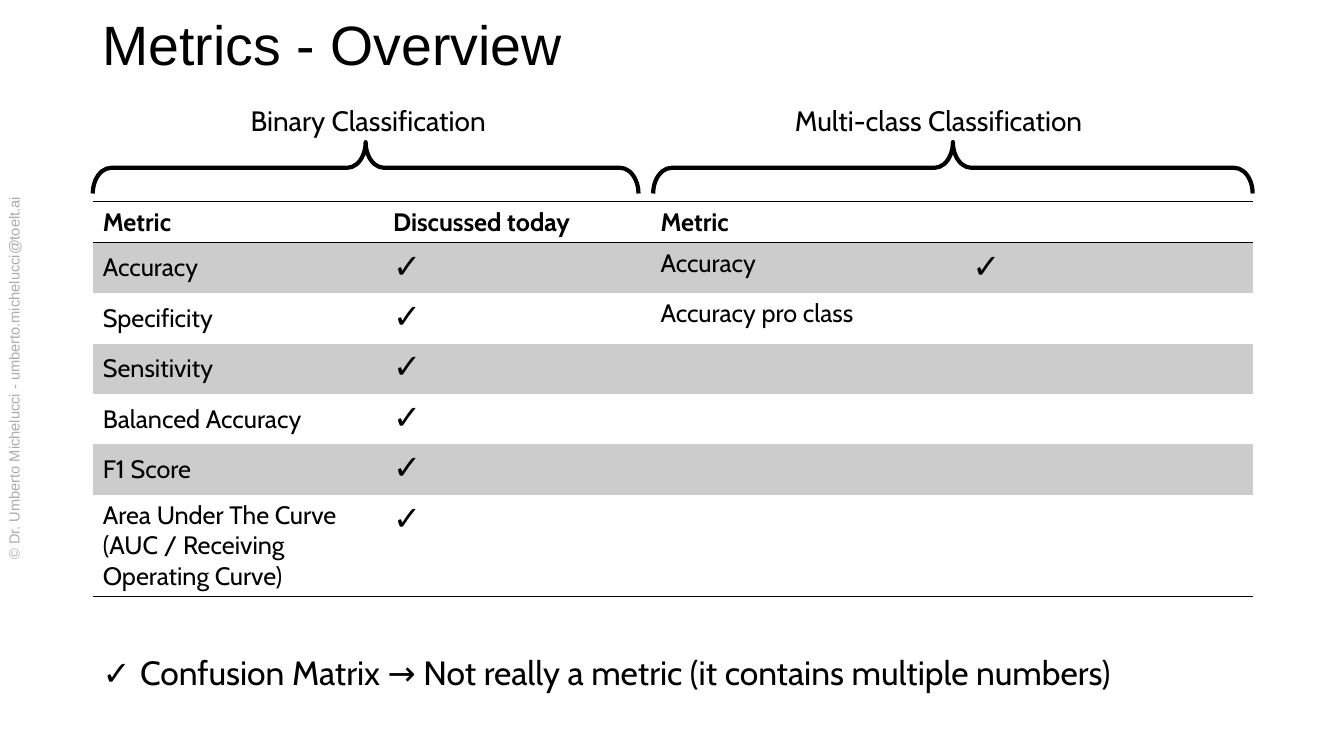
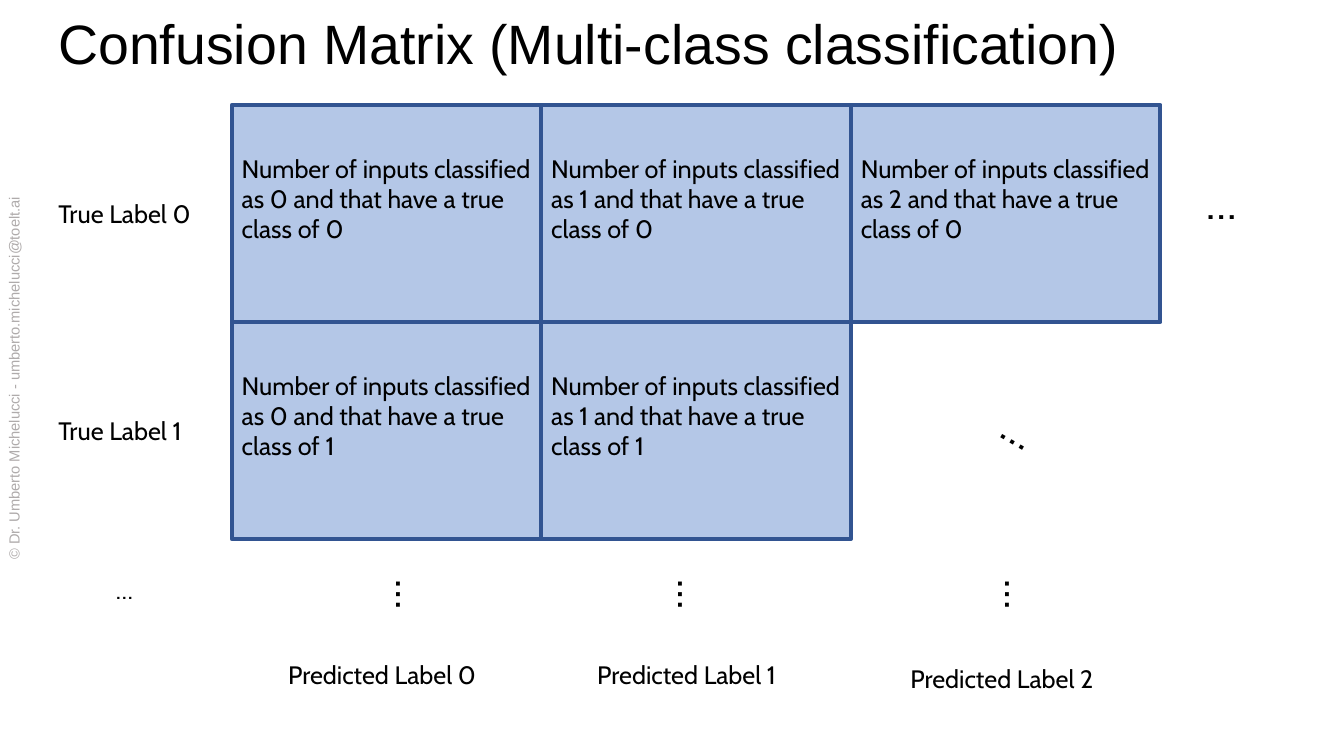
from lxml.etree import SubElement
from pptx import Presentation
from pptx.dml.color import RGBColor
from pptx.enum.shapes import MSO_SHAPE
from pptx.enum.text import MSO_ANCHOR, PP_ALIGN
from pptx.oxml import parse_xml
from pptx.oxml.ns import nsdecls, qn
from pptx.util import Inches, Pt

BLACK = RGBColor(0x00, 0x00, 0x00)
BAND = RGBColor(0xCC, 0xCC, 0xCC)
PALE = RGBColor(0xB4, 0xC7, 0xE7)
NAVY = RGBColor(0x32, 0x54, 0x91)
GREY = RGBColor(0xAF, 0xAB, 0xAB)
SANS, BODY = "Arial", "Cabin"
NO_STYLE = "{2D5ABB26-0587-4C30-8999-92F81FD0307C}"
CREDIT = "© Dr. Umberto Michelucci - umberto.michelucci@toelt.ai"
TICK = "✓"


class Deck:
    """Style and current slide; lengths are on a grid of 100 columns and 100 rows."""

    def __init__(self):
        self.show = Presentation()
        self.show.slide_width, self.show.slide_height = Inches(13.33), Inches(7.5)
        self.col = self.show.slide_width / 100
        self.row = self.show.slide_height / 100

    def page(self, title, x, y, w, h):
        self.slide = self.show.slides.add_slide(self.show.slide_layouts[6])
        para = self.text(title, x, y, w, h, 39.6, SANS, anchor=MSO_ANCHOR.MIDDLE)
        para.line_spacing = 0.9
        self.text(CREDIT, 0, 21.2, 2.1, 57.7, 10.5, SANS, GREY, PP_ALIGN.CENTER, turn=270)

    def frame(self, x, y, w, h, turn=0):
        """Turn a box as seen on the slide into the box before its rotation."""
        left, top, wide, high = x * self.col, y * self.row, w * self.col, h * self.row
        if turn % 180 == 90:
            left, top = left + (wide - high) / 2, top + (high - wide) / 2
            wide, high = high, wide
        return [round(side) for side in (left, top, wide, high)]

    def style(self, run, size, face, ink=BLACK, bold=False):
        font = run.font
        font.size, font.name, font.bold = Pt(size), face, bold
        font.color.rgb = ink

    def text(self, words, x, y, w, h, size=18, face=BODY, ink=BLACK,
             align=PP_ALIGN.LEFT, anchor=MSO_ANCHOR.TOP, turn=0):
        box = self.slide.shapes.add_textbox(*self.frame(x, y, w, h, turn))
        box.rotation = turn
        body = box.text_frame
        body.word_wrap, body.vertical_anchor = True, anchor
        body.text = words
        para = body.paragraphs[0]
        para.alignment = align
        self.style(para.runs[0], size, face, ink)
        return para

    def shape(self, kind, x, y, w, h, line, fill=None, turn=0):
        item = self.slide.shapes.add_shape(kind, *self.frame(x, y, w, h, turn))
        item.rotation = turn
        item.shadow.inherit = False
        item.line.color.rgb, item.line.width = line, Pt(3)
        if fill is None:
            item.fill.background()
        else:
            item.fill.solid()
            item.fill.fore_color.rgb = fill
        return item

    def brace(self, x, y, w, h):
        item = self.shape(MSO_SHAPE.LEFT_BRACE, x, y, w, h, BLACK, turn=90)
        item.adjustments[0] = 0.358

    def tile(self, words, x, y, w, h):
        body = self.shape(MSO_SHAPE.RECTANGLE, x, y, w, h, NAVY, PALE).text_frame
        body.word_wrap, body.vertical_anchor = True, MSO_ANCHOR.MIDDLE
        body.margin_bottom = Inches(0.35)
        body.text = words
        para = body.paragraphs[0]
        para.alignment = PP_ALIGN.LEFT
        self.style(para.runs[0], 18, BODY)

    def rule(self, cell, *sides):
        """Draw thin lines on cell sides, named in schema order."""
        props = cell._tc.get_or_add_tcPr()
        for spot, side in enumerate(sides):
            line = parse_xml(f'<a:{side} {nsdecls("a")} w="12700"/>')
            fill = SubElement(line, qn("a:solidFill"))
            SubElement(fill, qn("a:srgbClr"), val=str(BLACK))
            props.insert(spot, line)

    def table(self, rows, x, y, cols, highs):
        box = self.frame(x, y, sum(cols), sum(highs))
        grid = self.slide.shapes.add_table(len(rows), len(cols), *box).table
        grid.first_row = grid.horz_banding = False
        grid._tbl.tblPr.find(qn("a:tableStyleId")).text = NO_STYLE
        for col, wide in zip(grid.columns, cols):
            col.width = round(wide * self.col)
        for r, (row, high) in enumerate(zip(rows, highs)):
            grid.rows[r].height = round(high * self.row)
            for c, words in enumerate(row):
                self.cell(grid.cell(r, c), words, r, c)
                if r == 0:
                    self.rule(grid.cell(r, c), "lnT", "lnB")
                elif r == len(rows) - 1:
                    self.rule(grid.cell(r, c), "lnB")

    def cell(self, cell, words, r, c):
        if r % 2:
            cell.fill.solid()
            cell.fill.fore_color.rgb = BAND
        else:
            cell.fill.background()
        if r and c == 0:
            cell.vertical_anchor = MSO_ANCHOR.MIDDLE
        if words:
            cell.text_frame.text = words
            size, face = (24, SANS) if words == TICK else (18, BODY)
            self.style(cell.text_frame.paragraphs[0].runs[0], size, face, bold=r == 0)


def metrics(deck):
    deck.page("Metrics - Overview", 6.9, 1.7, 86.3, 9.3)

    # Table of metrics
    rows = [
        ("Metric", "Discussed today", "Metric", ""),
        ("Accuracy", TICK, "Accuracy", TICK),
        ("Specificity", TICK, "Accuracy pro class", ""),
        ("Sensitivity", TICK, "", ""),
        ("Balanced Accuracy", TICK, "", ""),
        ("F1 Score", TICK, "", ""),
        ("Area Under The Curve (AUC / Receiving Operating Curve)", TICK, "", ""),
    ]
    deck.table(rows, 6.9, 26.7, (21.6, 19.9, 23.2, 21.6), [5.4] + [6.3] * 5 + [13.5])

    # Headings with braces
    for words, x, left, wide in (("Binary Classification", 17.9, 6.9, 40.6),
                                 ("Multi-class Classification", 58.4, 48.6, 44.6)):
        deck.text(words, x, 13.1, 26.2, 5.9, 20)
        deck.brace(left, 18.8, wide, 6.8)

    # Closing remark
    para = deck.text(TICK + " ", 6.9, 85.6, 87.7, 6.7, 24, SANS)
    run = para.add_run()
    run.text = "Confusion Matrix → Not really a metric (it contains multiple numbers)"
    deck.style(run, 24, BODY)


def matrix(deck):
    deck.page("Confusion Matrix (Multi-class classification)", 3.6, 1.1, 95.6, 10)

    # Tiles and row labels
    left, top, wide, high = 17.25, 13.9, 23.03, 28.7
    for true, count in enumerate((3, 2)):
        y = top + true * high
        deck.text(f"True Label {true}", 3.6, y + 11.7, 13, 5.3)
        for guess in range(count):
            deck.tile(f"Number of inputs classified as {guess} and that have "
                      f"a true class of {true}", left + guess * wide, y, wide, high)

    # Column labels
    for guess, (x, y) in enumerate(((20.7, 86.5), (43.7, 86.5), (67, 87.1))):
        deck.text(f"Predicted Label {guess}", x, y, 17, 5.3)

    # Dots for the rest
    for x in (28.4, 49.4, 73.7):
        deck.text("…", x, 75.3, 4.8, 7.2, 32, turn=90)
    deck.text("…", 74, 52.7, 4.1, 8.5, 32, turn=30)
    deck.text("…", 89, 22.4, 4.1, 8.5, 32)
    deck.text("…", 7.8, 75.3, 2.9, 5.3, align=PP_ALIGN.CENTER)


def main():
    deck = Deck()
    metrics(deck)
    matrix(deck)
    deck.show.save("out.pptx")


if __name__ == "__main__":
    main()
